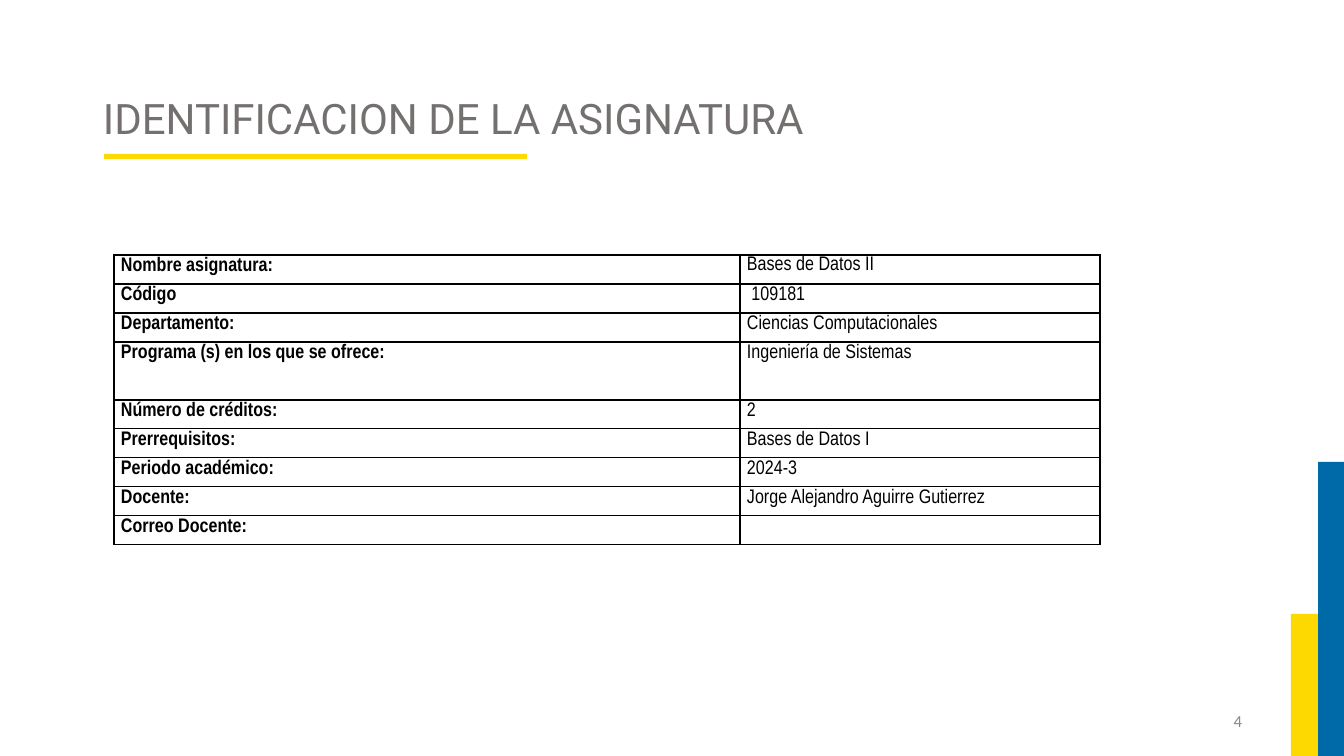
from pptx import Presentation, util as u
from pptx.dml.color import RGBColor
from pptx.enum import shapes, text
from pptx.oxml.ns import qn
from lxml import etree

PX = 914400 / 100.8
YELLOW, BLUE, BLACK = "FDD901", "006AA8", "000000"
ROWS = [
    ("Nombre asignatura:", "Bases de Datos II"),
    ("Código", " 109181"),
    ("Departamento:", "Ciencias Computacionales"),
    ("Programa (s) en los que se ofrece:", "Ingeniería de Sistemas"),
    ("Número de créditos:", "2"),
    ("Prerrequisitos:", "Bases de Datos I"),
    ("Periodo académico:", "2024-3"),
    ("Docente:", "Jorge Alejandro Aguirre Gutierrez"),
    ("Correo Docente:", ""),
]
ROW_H, TALL_ROW = 29, 3


def px(n):
    return u.Emu(round(n * PX))


def color(value):
    return RGBColor.from_string(value)


def style(p, font, size, value, bold=False):
    for r in p.runs:
        r.font.name = font
        r.font.size = u.Pt(size)
        r.font.bold = bold
        r.font.color.rgb = color(value)


def add_bar(s, x, y, w, h, fill):
    sp = s.shapes.add_shape(shapes.MSO_SHAPE.RECTANGLE, px(x), px(y), px(w), px(h))
    sp.shadow.inherit = False
    sp.fill.solid()
    sp.fill.fore_color.rgb = color(fill)
    sp.line.fill.background()


def add_text(s, content, box, font, size, value, align, spacing=1.0):
    tf = s.shapes.add_textbox(*map(px, box)).text_frame
    tf.word_wrap = True
    tf.vertical_anchor = text.MSO_ANCHOR.MIDDLE
    tf.text = content
    p = tf.paragraphs[0]
    p.alignment = align
    p.line_spacing = spacing
    style(p, font, size, value)


def add_borders(cell):
    """Draw a thin black line on all four sides, placed before the cell's fill."""
    tcPr = cell._tc.get_or_add_tcPr()
    for i, side in enumerate(("lnL", "lnR", "lnT", "lnB")):
        ln = etree.Element(qn("a:" + side), w=str(u.Pt(1)))
        fill = etree.SubElement(ln, qn("a:solidFill"))
        etree.SubElement(fill, qn("a:srgbClr"), val=BLACK)
        tcPr.insert(i, ln)


def fill_cell(cell, content, bold, spacing):
    cell.margin_left = cell.margin_right = px(7)
    cell.margin_top, cell.margin_bottom = px(1), 0
    cell.fill.background()
    add_borders(cell)
    cell.text = content
    p = cell.text_frame.paragraphs[0]
    p.line_spacing = spacing
    style(p, "Arial Narrow", 14, BLACK, bold)
    if not content:
        etree.SubElement(p._p, qn("a:endParaRPr"), sz="1400")


def add_course_table(s, x, y, widths):
    height = ROW_H * (len(ROWS) + 1)
    table = s.shapes.add_table(len(ROWS), len(widths), px(x), px(y),
                               px(sum(widths)), px(height)).table
    table.first_row = table.horz_banding = False
    for column, w in zip(table.columns, widths):
        column.width = px(w)
    for i, (label, value) in enumerate(ROWS):
        table.rows[i].height = px(ROW_H * 2 if i == TALL_ROW else ROW_H)
        fill_cell(table.cell(i, 0), label, True, 1.07)
        fill_cell(table.cell(i, 1), value, False, 1.07 if i else 1.0)


def main():
    prs = Presentation()
    prs.slide_width, prs.slide_height = px(1344), px(756)
    s = prs.slides.add_slide(prs.slide_layouts[6])
    add_bar(s, 1291, 614, 27, 142, YELLOW)
    add_bar(s, 1318, 462, 26, 294, BLUE)
    add_text(s, "IDENTIFICACION DE LA ASIGNATURA", (93, 48, 1159, 146),
             "Roboto", 30, "757070", text.PP_ALIGN.LEFT, 0.9)
    add_text(s, "4", (950, 701, 302, 40), "Calibri", 12, "888888", text.PP_ALIGN.RIGHT)
    add_bar(s, 104, 154, 423, 5, YELLOW)
    add_course_table(s, 114, 255, (626, 360))
    prs.save("out.pptx")


if __name__ == "__main__":
    main()
